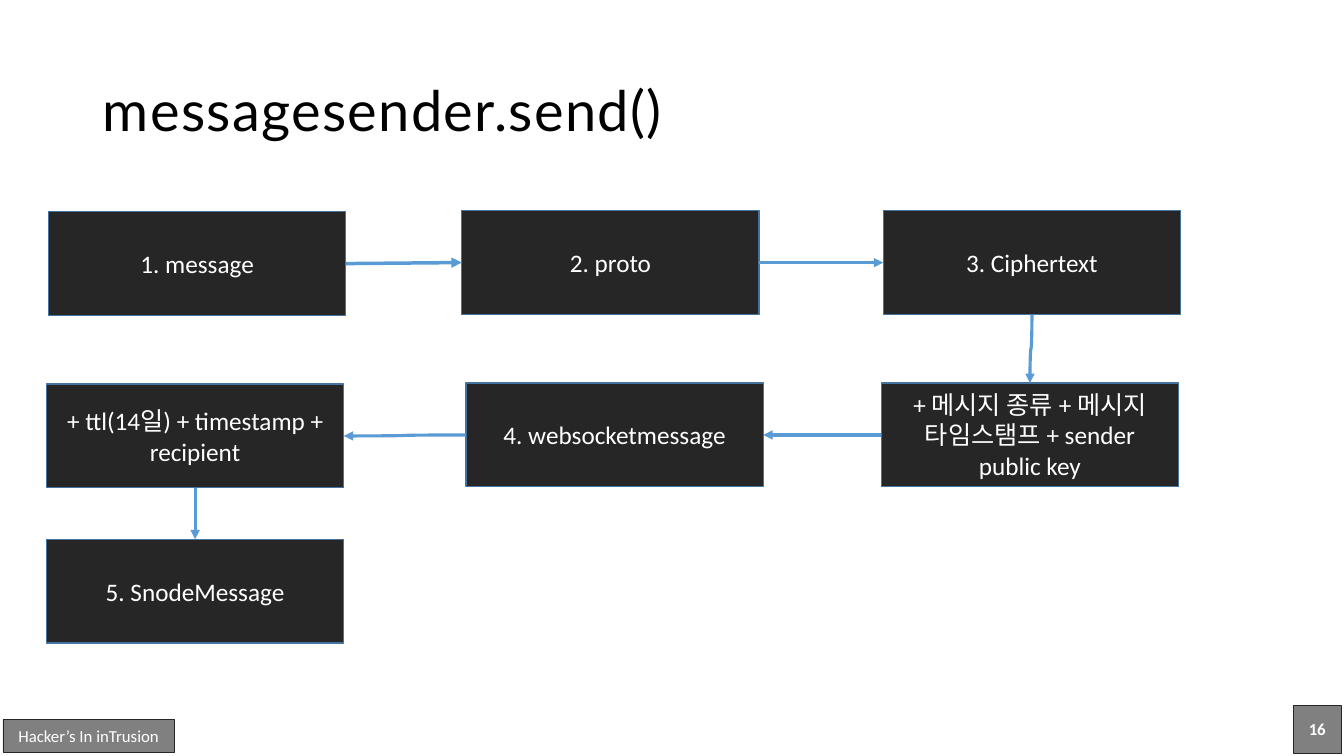
from lxml import etree
from pptx import Presentation
from pptx.dml.color import RGBColor
from pptx.enum.shapes import MSO_CONNECTOR, MSO_SHAPE
from pptx.enum.text import MSO_ANCHOR, PP_ALIGN
from pptx.oxml.ns import qn
from pptx.util import Inches, Pt

RECTANGLE = MSO_SHAPE.RECTANGLE
STRAIGHT, CURVE = MSO_CONNECTOR.STRAIGHT, MSO_CONNECTOR.CURVE
LEFT, CENTER, MIDDLE = PP_ALIGN.LEFT, PP_ALIGN.CENTER, MSO_ANCHOR.MIDDLE
TOP_SITE, LEFT_SITE, BOTTOM_SITE, RIGHT_SITE = range(4)

TITLE = "messagesender.send()"
TITLE_FRAME = (0.92, 0.4, 11.5, 1.45)
BOX_SIZE = (2.95, 1.03)

# name: (text, left, top)
STEPS = {
    "message": ("1. message", 0.48, 2.1),
    "proto": ("2. proto", 4.58, 2.09),
    "cipher": ("3. Ciphertext", 8.76, 2.09),
    "sender": ("+ 메시지 종류 + 메시지 타임스탬프 + sender public key", 8.74, 3.8),
    "websocket": ("4. websocketmessage", 4.62, 3.8),
    "recipient": ("+ ttl(14일) + timestamp + recipient", 0.46, 3.81),
    "snode": ("5. SnodeMessage", 0.46, 5.35),
}

SIDES = {
    "right": (RIGHT_SITE, LEFT_SITE),
    "left": (LEFT_SITE, RIGHT_SITE),
    "down": (BOTTOM_SITE, TOP_SITE),
}

# from, to, direction, connector kind, line width
ARROWS = [
    ("message", "proto", "right", STRAIGHT, 2.5),
    ("proto", "cipher", "right", CURVE, 2.25),
    ("cipher", "sender", "down", CURVE, 2.25),
    ("sender", "websocket", "left", CURVE, 2.25),
    ("websocket", "recipient", "left", CURVE, 2.25),
    ("recipient", "snode", "down", CURVE, 2.25),
]

# text, frame, bold
FOOTERS = [
    ("16", (12.83, 7, 0.47, 0.47), True),
    ("Hacker’s In inTrusion", (0.03, 7.14, 1.7, 0.32), False),
]


def rgb(value):
    return RGBColor.from_string(value)


THEME = {
    "arrow": rgb("5B9BD5"),
    "title": {"name": "Lato", "size": Pt(40), "color": rgb("000000")},
    "step": {
        "fill": rgb("262626"), "line": rgb("43739E"), "width": Pt(1),
        "font": {"name": "Calibri", "size": Pt(18), "color": rgb("FFFFFF")},
    },
    "footer": {
        "fill": rgb("808080"), "line": rgb("262626"), "width": Pt(0.5),
        "font": {"name": "Calibri", "size": Pt(12), "color": rgb("FFFFFF")},
    },
}


def write_text(shape, text, font_format, alignment):
    frame = shape.text_frame
    frame.word_wrap = True
    frame.vertical_anchor = MIDDLE
    paragraph = frame.paragraphs[0]
    paragraph.alignment = alignment
    run = paragraph.add_run()
    run.text = text
    for name, value in font_format.items():
        if name == "color":
            run.font.color.rgb = value
        else:
            setattr(run.font, name, value)
    return paragraph, run


def add_title(slide):
    title = slide.shapes.title
    for name, value in zip(("left", "top", "width", "height"), TITLE_FRAME):
        setattr(title, name, Inches(value))
    paragraph, run = write_text(title, TITLE, THEME["title"], LEFT)
    paragraph.line_spacing = 0.9
    run.font._element.set("spc", "100")


def add_box(slide, text, frame, style, bold=False):
    box = slide.shapes.add_shape(RECTANGLE, *map(Inches, frame))
    box.shadow.inherit = False
    box.fill.solid()
    box.fill.fore_color.rgb = style["fill"]
    box.line.color.rgb = style["line"]
    box.line.width = style["width"]
    write_text(box, text, {**style["font"], "bold": bold}, CENTER)
    return box


def turn_downward(connector):
    """Rotate the connector's frame so that its curve leaves vertically."""
    width, height = connector.width, connector.height
    center_x = connector.left + width // 2
    center_y = connector.top + height // 2
    connector.width, connector.height = height, width
    connector.left = center_x - height // 2
    connector.top = center_y - width // 2
    transform = connector._element.spPr.find(qn("a:xfrm"))
    transform.attrib.pop("flipH", None)
    transform.set("rot", str(90 * 60000))


def add_arrow(slide, start, end, direction, kind, width):
    connector = slide.shapes.add_connector(kind, 0, 0, 0, 0)
    start_site, end_site = SIDES[direction]
    connector.begin_connect(start, start_site)
    connector.end_connect(end, end_site)
    if direction == "down":
        turn_downward(connector)
    connector.line.color.rgb = THEME["arrow"]
    connector.line.width = Pt(width)
    etree.SubElement(connector.line._get_or_add_ln(), qn("a:tailEnd"), type="triangle")
    etree.SubElement(connector._element.spPr, qn("a:effectLst"))


def main():
    presentation = Presentation()
    presentation.slide_width = Inches(13.33)
    presentation.slide_height = Inches(7.5)
    slide = presentation.slides.add_slide(presentation.slide_layouts[5])

    add_title(slide)
    for text, frame, bold in FOOTERS:
        add_box(slide, text, frame, THEME["footer"], bold)
    boxes = {
        name: add_box(slide, text, (left, top, *BOX_SIZE), THEME["step"])
        for name, (text, left, top) in STEPS.items()
    }
    for start, end, direction, kind, width in ARROWS:
        add_arrow(slide, boxes[start], boxes[end], direction, kind, width)

    presentation.save("out.pptx")


if __name__ == "__main__":
    main()
